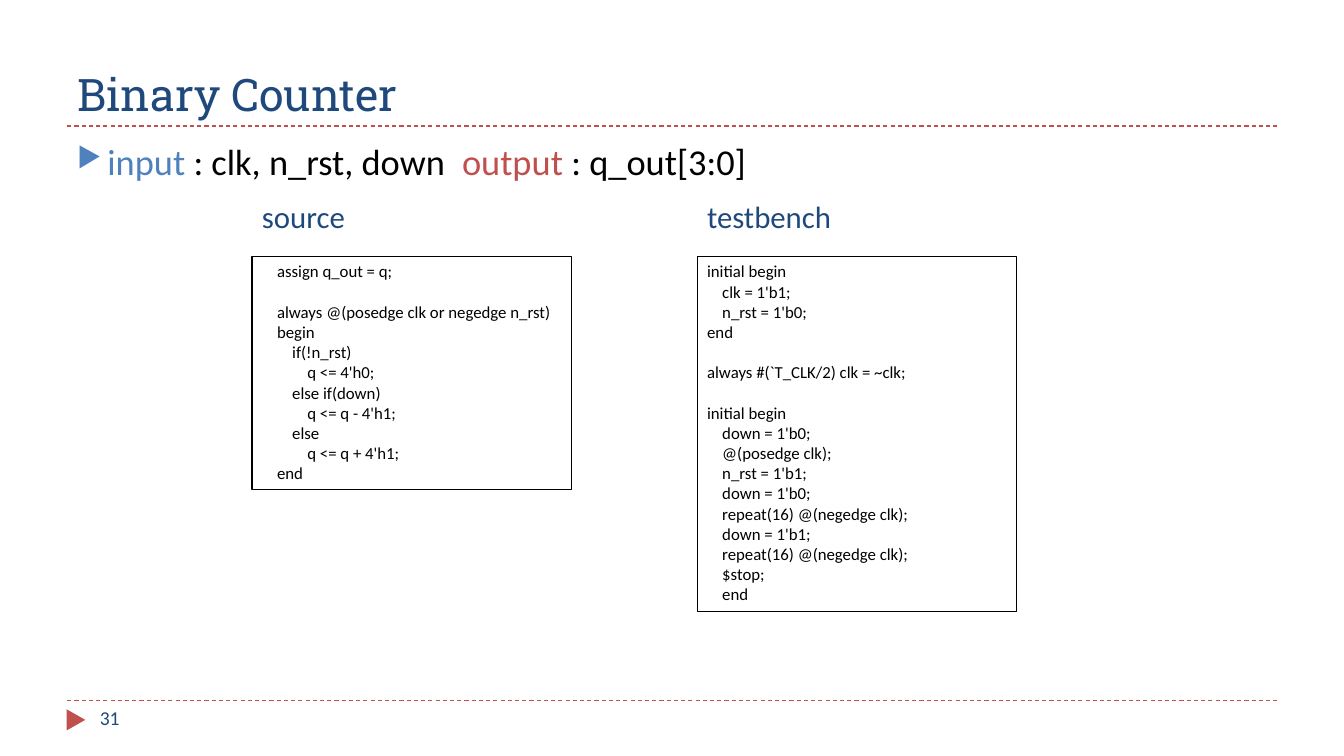
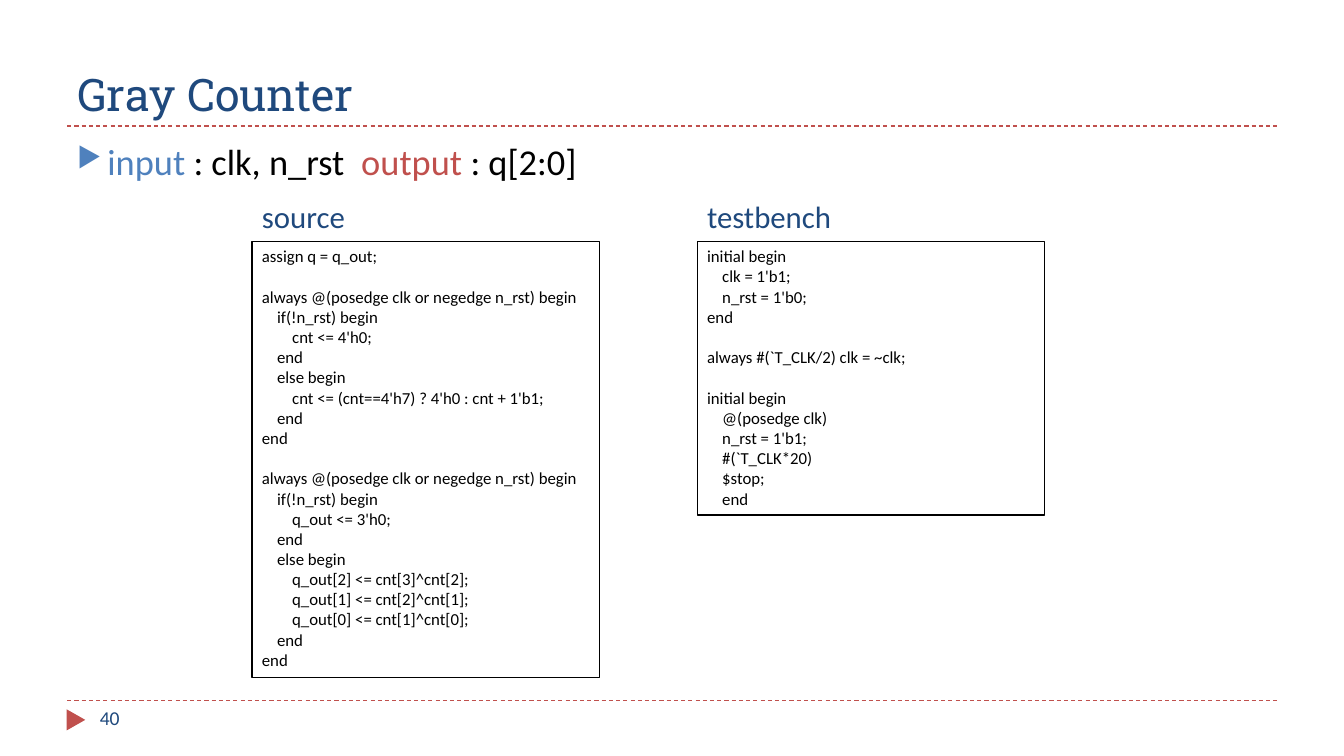
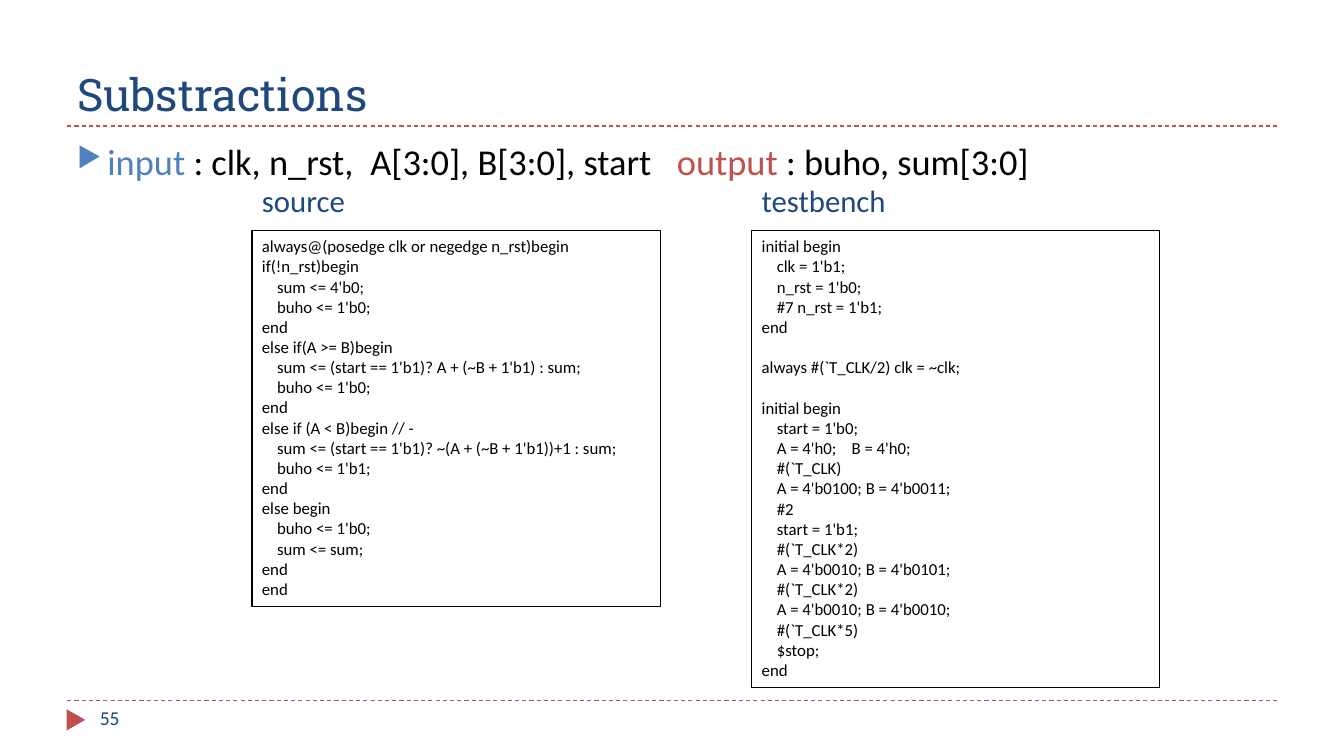
from dataclasses import dataclass

from lxml.etree import SubElement
from pptx import Presentation
from pptx.dml.color import RGBColor
from pptx.enum.dml import MSO_LINE
from pptx.enum.shapes import MSO_CONNECTOR, MSO_SHAPE
from pptx.enum.text import MSO_ANCHOR, MSO_AUTO_SIZE, PP_ALIGN
from pptx.oxml.ns import qn
from pptx.util import Emu, Inches, Pt

# The slide is a grid of 160 columns by 90 rows, twelve cells to the inch.
COLUMNS, ROWS = 160, 90
CELL = Inches(1) // 12
MARGIN, CONTENT_WIDTH = 8, 144
TITLE_RULE, FOOTER_RULE = 15, 83.4
SOURCE_LEFT = 30
CODE_LINE = 14.5  # points

NAVY, BLUE, RED, BLACK = "1F497D", "4F81BD", "C0504D", "000000"
TITLE_FORMAT = {"name": "Roboto Slab", "size": Pt(32), "color": NAVY}
PORT_FORMAT = {"name": "Calibri", "size": Pt(26), "color": BLACK}
HEADING_FORMAT = {"name": "Calibri", "size": Pt(22), "color": NAVY}
NUMBER_FORMAT = {"name": "Calibri", "size": Pt(14), "color": NAVY}
CODE_FORMAT = {"name": "Calibri", "size": Pt(12), "color": BLACK}


@dataclass(frozen=True)
class Span:
    """A piece of text; gap widens its last space, in points."""
    text: str
    color: str = BLACK
    gap: float = 0


@dataclass(frozen=True)
class CounterPage:
    title: str
    number: int
    inputs: tuple[Span, ...]
    outputs: str
    heading_top: float
    code_top: float
    testbench_left: float
    code_width: float
    source: str
    testbench: str


PAGES = (
    CounterPage(
        "Binary Counter", 31, (Span(" : clk, n_rst, down ", gap=5.9),),
        " : q_out[3:0]", 23, 30.5, 83, 38,
        source="""\
    assign q_out = q;

    always @(posedge clk or negedge n_rst)
    begin
        if(!n_rst)
            q <= 4'h0;
        else if(down)
            q <= q - 4'h1;
        else
            q <= q + 4'h1;
    end""",
        testbench="""\
initial begin
    clk = 1'b1;
    n_rst = 1'b0;
end

always #(`T_CLK/2) clk = ~clk;

initial begin
    down = 1'b0;
    @(posedge clk);
    n_rst = 1'b1;
    down = 1'b0;
    repeat(16) @(negedge clk);
    down = 1'b1;
    repeat(16) @(negedge clk);
    $stop;
    end"""),
    CounterPage(
        "Gray Counter", 40, (Span(" : clk, n_rst ", gap=5.9),),
        " : q[2:0]", 23, 28.7, 83, 41.4,
        source="""\
assign q = q_out;

always @(posedge clk or negedge n_rst) begin
    if(!n_rst) begin
        cnt <= 4'h0;
    end
    else begin
        cnt <= (cnt==4'h7) ? 4'h0 : cnt + 1'b1;
    end
end

always @(posedge clk or negedge n_rst) begin
    if(!n_rst) begin
        q_out <= 3'h0;
    end
    else begin
        q_out[2] <= cnt[3]^cnt[2];
        q_out[1] <= cnt[2]^cnt[1];
        q_out[0] <= cnt[1]^cnt[0];
    end
end""",
        testbench="""\
initial begin
    clk = 1'b1;
    n_rst = 1'b0;
end

always #(`T_CLK/2) clk = ~clk;

initial begin
    @(posedge clk)
    n_rst = 1'b1;
    #(`T_CLK*20)
    $stop;
    end"""),
    CounterPage(
        "Substractions", 55,
        (Span(" : clk, n_rst, ", gap=5.9),
         Span("A[3:0], B[3:0], start ", gap=11.8)),
        " : buho, sum[3:0]", 21, 27.5, 89.5, 48.6,
        source="""\
always@(posedge clk or negedge n_rst)begin
if(!n_rst)begin
    sum <= 4'b0;
    buho <= 1'b0;
end
else if(A >= B)begin
    sum <= (start == 1'b1)? A + (~B + 1'b1) : sum;
    buho <= 1'b0;
end
else if (A < B)begin // -
    sum <= (start == 1'b1)? ~(A + (~B + 1'b1))+1 : sum;
    buho <= 1'b1;
end
else begin
    buho <= 1'b0;
    sum <= sum;
end
end""",
        testbench="""\
initial begin
    clk = 1'b1;
    n_rst = 1'b0;
    #7 n_rst = 1'b1;
end

always #(`T_CLK/2) clk = ~clk;

initial begin
    start = 1'b0;
    A = 4'h0;    B = 4'h0;
    #(`T_CLK)
    A = 4'b0100; B = 4'b0011;
    #2
    start = 1'b1;
    #(`T_CLK*2)
    A = 4'b0010; B = 4'b0101;
    #(`T_CLK*2)
    A = 4'b0010; B = 4'b0010;
    #(`T_CLK*5)
    $stop;
end"""),
)


def cells(*counts: float) -> list[Emu]:
    return [Emu(round(count * CELL)) for count in counts]


def paint(color_format, color: str) -> None:
    color_format.rgb = RGBColor.from_string(color)


def format_font(font, values: dict) -> None:
    for name, value in values.items():
        if name == "color":
            paint(font.color, value)
        else:
            setattr(font, name, value)


def add_span(para, span: Span, values: dict) -> None:
    text, last = (span.text[:-1], span.text[-1]) if span.gap else (span.text, "")
    for part in filter(None, (text, last)):
        run = para.add_run()
        run.text = part
        format_font(run.font, values | {"color": span.color})
    if span.gap:
        run.font._element.set("spc", str(round(span.gap * 100)))


def add_text(slide, left: float, top: float, width: float, height: float,
             text: str, values: dict):
    box = slide.shapes.add_textbox(*cells(left, top, width, height))
    box.text_frame.word_wrap = True
    para = box.text_frame.paragraphs[0]
    if text:
        add_span(para, Span(text, values["color"]), values)
    return para


def add_rule(slide, row: float) -> None:
    rule = slide.shapes.add_connector(
        MSO_CONNECTOR.STRAIGHT,
        *cells(MARGIN, row, MARGIN + CONTENT_WIDTH, row))
    paint(rule.line.color, RED)
    rule.line.width = Pt(0.75)
    rule.line.dash_style = MSO_LINE.DASH
    SubElement(rule._element.spPr, qn("a:effectLst"))


def add_frame(slide, page: CounterPage) -> None:
    """Draw the title, both rules and the page number with its marker."""
    add_rule(slide, FOOTER_RULE)
    add_rule(slide, TITLE_RULE)
    marker = slide.shapes.add_shape(MSO_SHAPE.ISOSCELES_TRIANGLE,
                                    *cells(7.8, 84.6, 2.5, 2.2))
    marker.rotation = 90
    marker.shadow.inherit = False
    marker.fill.solid()
    paint(marker.fill.fore_color, RED)
    marker.line.fill.background()

    title = slide.shapes.title
    title.left, title.top, title.width, title.height = cells(
        MARGIN, 2, CONTENT_WIDTH, TITLE_RULE - 2)
    frame = title.text_frame
    frame.auto_size = MSO_AUTO_SIZE.NONE
    frame.vertical_anchor = MSO_ANCHOR.BOTTOM
    para = frame.paragraphs[0]
    para.alignment = PP_ALIGN.LEFT
    add_span(para, Span(page.title, NAVY), TITLE_FORMAT)
    add_text(slide, 10.7, FOOTER_RULE, 34.7, 4.8, str(page.number), NUMBER_FORMAT)


def add_bullet(para) -> None:
    properties = para._p.get_or_add_pPr()
    properties.set("marL", str(Inches(0.3)))
    properties.set("indent", str(-Inches(0.3)))
    color = SubElement(properties, qn("a:buClr"))
    SubElement(color, qn("a:srgbClr"), val=BLUE)
    SubElement(properties, qn("a:buSzPct"), val="76000")
    SubElement(properties, qn("a:buChar"), char="▶")


def add_ports(slide, page: CounterPage) -> None:
    para = add_text(slide, MARGIN, 16, CONTENT_WIDTH, 6, "", PORT_FORMAT)
    add_bullet(para)
    for span in (Span("input", BLUE), *page.inputs,
                 Span("output", RED), Span(page.outputs)):
        add_span(para, span, PORT_FORMAT)


def add_code(slide, left: float, top: float, width: float, code: str) -> None:
    """Draw a listing; an empty line becomes space before the next one."""
    lines = code.splitlines()
    box = slide.shapes.add_shape(MSO_SHAPE.RECTANGLE, *cells(left, top, width, 1))
    box.height = Inches(0.1) + Pt(CODE_LINE * len(lines))
    box.shadow.inherit = False
    box.fill.background()
    paint(box.line.color, BLACK)
    box.line.width = Pt(0.75)
    frame = box.text_frame
    frame.word_wrap = True
    frame.vertical_anchor = MSO_ANCHOR.TOP
    para = frame.paragraphs[0]
    for index, line in enumerate(lines):
        if not line:
            continue
        if index:
            para = frame.add_paragraph()
            para.space_before = Pt(0 if lines[index - 1] else CODE_LINE)
        para.alignment = PP_ALIGN.LEFT
        add_span(para, Span(line), CODE_FORMAT)


def add_page(deck, page: CounterPage) -> None:
    slide = deck.slides.add_slide(deck.slide_layouts.get_by_name("Title Only"))
    add_frame(slide, page)
    add_ports(slide, page)
    for heading, left, code in (("source", SOURCE_LEFT, page.source),
                                ("testbench", page.testbench_left, page.testbench)):
        add_text(slide, left, page.heading_top, 27, 5.6, heading, HEADING_FORMAT)
        add_code(slide, left, page.code_top, page.code_width, code)


def main() -> None:
    deck = Presentation()
    deck.slide_width, deck.slide_height = cells(COLUMNS, ROWS)
    for page in PAGES:
        add_page(deck, page)
    deck.save("out.pptx")


if __name__ == "__main__":
    main()
